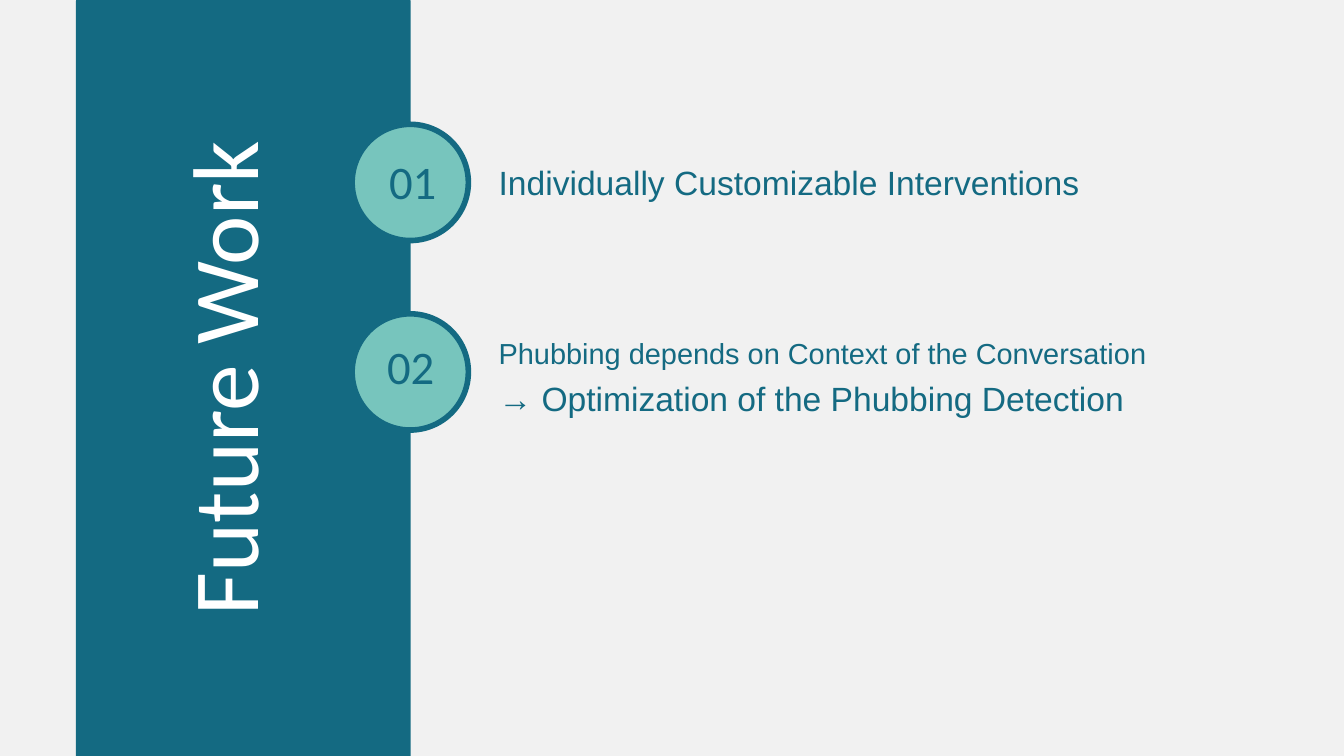
from lxml.etree import SubElement
from pptx import Presentation
from pptx.dml.color import RGBColor
from pptx.enum.shapes import MSO_SHAPE
from pptx.enum.text import MSO_ANCHOR, MSO_AUTO_SIZE, PP_ALIGN
from pptx.oxml.ns import qn
from pptx.util import Inches, Pt

COLORS = {"background": "F1F1F1", "panel": "146A82", "circle": "77C5BD", "white": "FFFFFF"}
TITLE = "Future Work"

# Lines are (text, size); boxes are (left, top, width, height) in inches.
ITEMS = [
    {
        "number": "01",
        "number_box": (5.79, 2.13, 1.05, 0.97),
        "circle_top": 1.85,
        "lines": [("Individually Customizable Interventions", 36)],
        "text_box": (7.42, 2.41, 11.46, 0.6),
        "gap": 0,
    },
    {
        "number": "02",
        "number_box": (5.76, 4.89, 1.05, 0.97),
        "circle_top": 4.67,
        "lines": [
            ("Phubbing depends on Context of the Conversation", 31),
            ("→ Optimization of the Phubbing Detection", 36),
        ],
        "text_box": (7.42, 4.99, 11.46, 1.24),
        "gap": 4.2,
    },
]
CIRCLE_LEFT, CIRCLE_SIZE = 5.24, 1.73
PANEL_BOX = (1.13, -0.32, 4.98, 11.9)
PANEL_RADIUS = 0.35
TITLE_BOX = (-1.07, 4.93, 9, 1.39)


def color(name):
    return RGBColor.from_string(COLORS[name])


def place(shape, box):
    shape.left, shape.top, shape.width, shape.height = map(Inches, box)


def write(shape, lines, font_name, color_name, spacing, gap=0, align=PP_ALIGN.LEFT):
    """Fill a shape with unbulleted lines; spacing is a multiple of the text size."""
    frame = shape.text_frame
    frame.word_wrap = True
    frame.auto_size = MSO_AUTO_SIZE.NONE
    frame.vertical_anchor = MSO_ANCHOR.TOP
    frame.margin_left = frame.margin_right = frame.margin_top = frame.margin_bottom = 0
    frame.text = "\n".join(text for text, size in lines)
    for paragraph, (text, size) in zip(frame.paragraphs, lines):
        paragraph.alignment = align
        paragraph.line_spacing = Pt(size * spacing)
        paragraph.space_before = paragraph.space_after = Pt(gap)
        paragraph.font.name = font_name
        paragraph.font.size = Pt(size)
        paragraph.font.color.rgb = color(color_name)
        properties = paragraph._p.get_or_add_pPr()
        properties.set("marL", "0")
        properties.set("indent", "0")
        properties.insert_element_before(
            SubElement(properties, qn("a:buNone")), "a:tabLst", "a:defRPr", "a:extLst")


def add_filled(page, preset, box, fill_name):
    shape = page.shapes.add_shape(preset, *map(Inches, box))
    shape.shadow.inherit = False
    shape.fill.solid()
    shape.fill.fore_color.rgb = color(fill_name)
    return shape


deck = Presentation()
deck.slide_width, deck.slide_height = Inches(20), Inches(11.25)
page = deck.slides.add_slide(deck.slide_layouts.get_by_name("Two Content"))
page.background.fill.solid()
page.background.fill.fore_color.rgb = color("background")

panel = add_filled(page, MSO_SHAPE.ROUNDED_RECTANGLE, PANEL_BOX, "panel")
panel.adjustments[0] = PANEL_RADIUS / PANEL_BOX[2]
panel.line.fill.background()
page.shapes._spTree.insert(2, panel._element)  # behind the title

title = page.shapes.title
place(title, TITLE_BOX)
title.rotation = 270
write(title, [(TITLE, 100)], "Calibri", "white", 1, align=PP_ALIGN.CENTER)

for index, item in enumerate(ITEMS, start=1):
    body = page.placeholders[index]
    place(body, item["text_box"])
    write(body, item["lines"], "Arial", "panel", 1.2, item["gap"])

    circle_box = (CIRCLE_LEFT, item["circle_top"], CIRCLE_SIZE, CIRCLE_SIZE)
    circle = add_filled(page, MSO_SHAPE.OVAL, circle_box, "circle")
    circle.line.color.rgb = color("panel")
    circle.line.width = Pt(6)

    number = page.shapes.add_textbox(*map(Inches, item["number_box"]))
    write(number, [(item["number"], 50)], "Calibri", "panel", 1.4)

deck.save("out.pptx")
